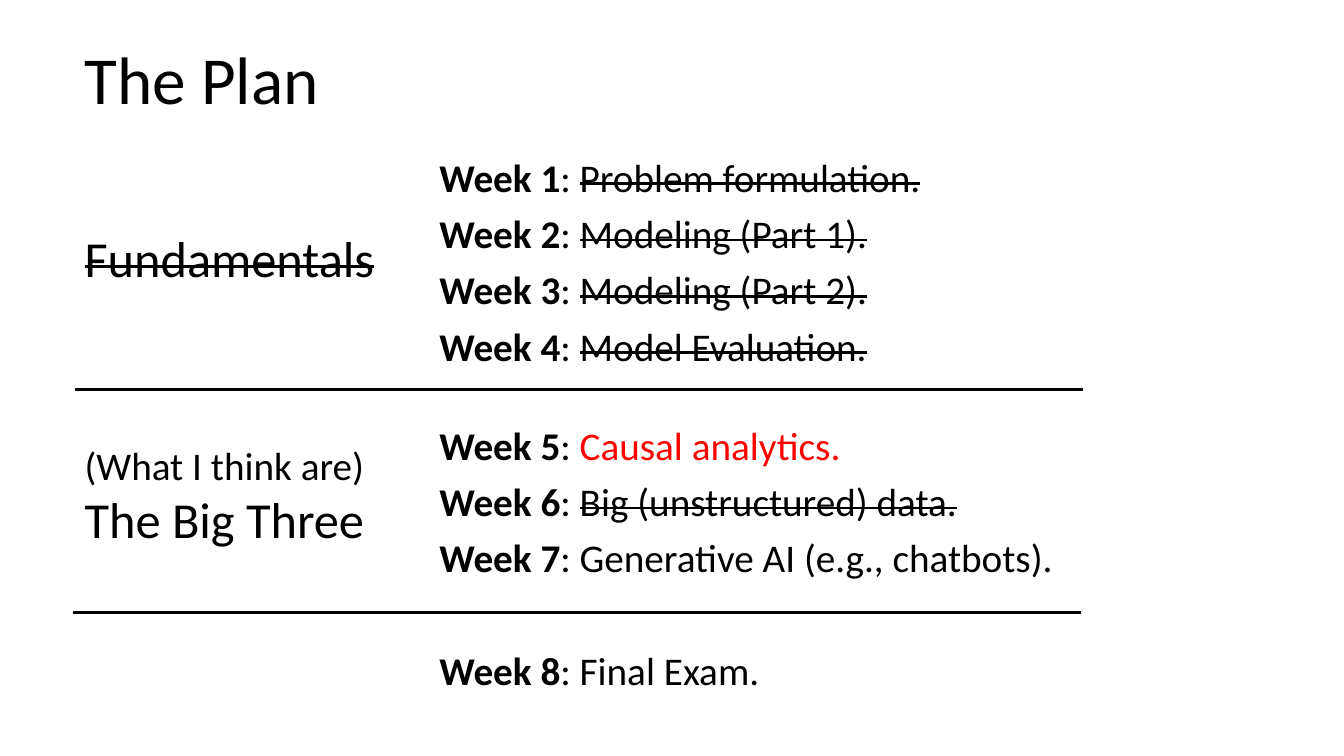
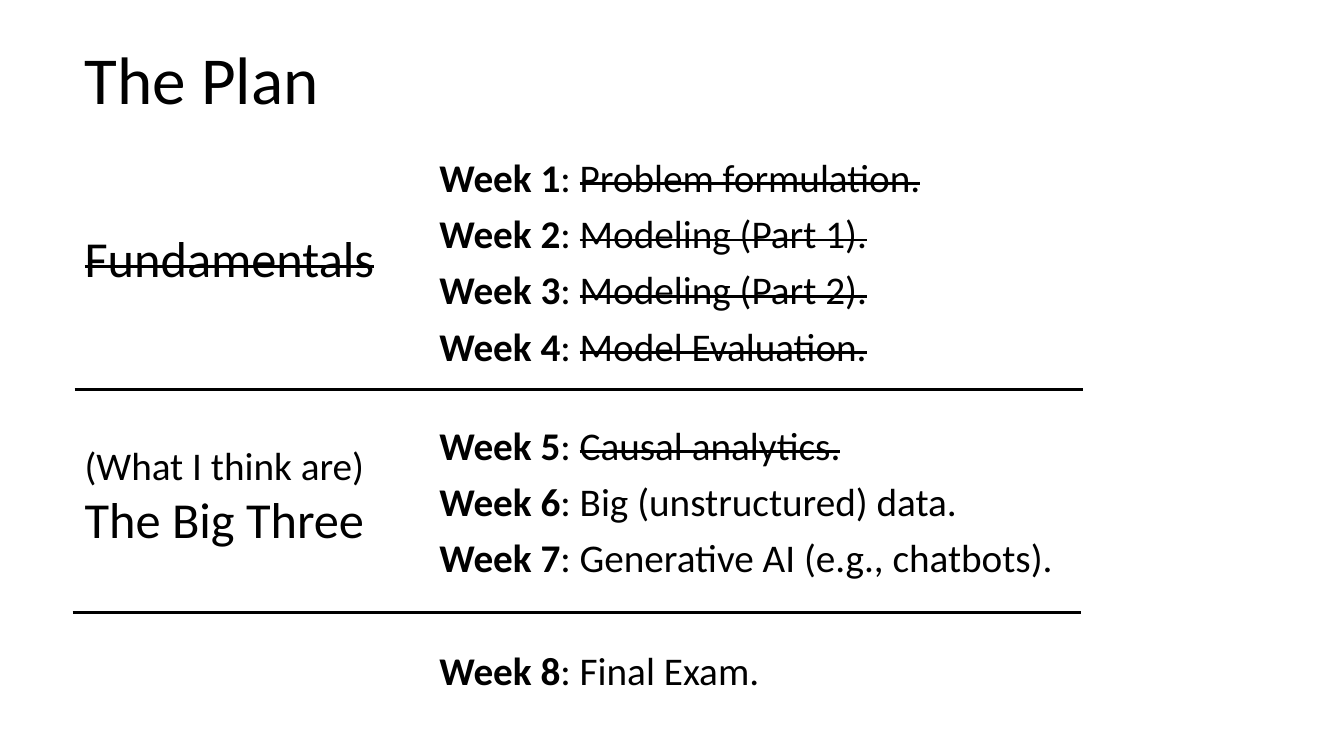
import pptx
import pptx.util
import pptx.dml.color
import pptx.enum.shapes
import pptx.enum.text
import lxml.etree

Inches, Pt = pptx.util.Inches, pptx.util.Pt
ENUM = pptx.enum.text
FONT, BLACK, RED = "Calibri", "000000", "FF0000"
BODY, HEAD = 28, 36
WEEKS = ["Problem formulation.", "Modeling (Part 1).", "Modeling (Part 2).",
         "Model Evaluation.", "Causal analytics.", "Big (unstructured) data.",
         "Generative AI (e.g., chatbots).", "Final Exam."]
GAPS = {5: 40.5, 8: 50.5}  # points before the week that opens a section


def color(code):
    return pptx.dml.color.RGBColor.from_string(code)


def write(para, text, size=BODY, bold=False, strike=False, tint=BLACK):
    run = para.add_run()
    run.text = text
    font = run.font
    font.name, font.size, font.bold = FONT, Pt(size), bold
    font.color.rgb = color(tint)
    if strike:
        run._r.get_or_add_rPr().set("strike", "sngStrike")


def frame(slide, box, grow=False):
    """Add a wrapping text box and return its text frame."""
    text = slide.shapes.add_textbox(*map(Inches, box)).text_frame
    text.word_wrap = True
    if grow:
        text.auto_size = ENUM.MSO_AUTO_SIZE.SHAPE_TO_FIT_TEXT
    return text


def title(slide, box, words):
    shape = slide.shapes.title
    shape.left, shape.top, shape.width, shape.height = map(Inches, box)
    text = shape.text_frame
    text.auto_size = ENUM.MSO_AUTO_SIZE.NONE
    text.vertical_anchor = ENUM.MSO_ANCHOR.MIDDLE
    para = text.paragraphs[0]
    para.alignment = ENUM.PP_ALIGN.LEFT
    para.line_spacing = 0.9
    write(para, words, size=48)


def label(slide, box, lines):
    """Name a section; each line is its text and its format."""
    text = frame(slide, box, grow=True)
    for i, (words, style) in enumerate(lines):
        para = text.add_paragraph() if i else text.paragraphs[0]
        write(para, words, **style)


def agenda(slide, box, done, now):
    """List the weeks, striking those done and colouring the current one."""
    text = frame(slide, box)
    for week, topic in enumerate(WEEKS, 1):
        para = text.paragraphs[0] if week == 1 else text.add_paragraph()
        para.line_spacing = 0.9
        para.space_before = Pt(GAPS.get(week, 10))
        write(para, f"Week {week}", bold=True)
        write(para, ": ")
        write(para, topic, strike=week in done,
              tint=RED if week == now else BLACK)


def rule(slide, left, top, width):
    line = slide.shapes.add_connector(
        pptx.enum.shapes.MSO_CONNECTOR.STRAIGHT,
        Inches(left), Inches(top), Inches(left + width), Inches(top))
    line.line.color.rgb = color(BLACK)
    line.line.width = Pt(2.25)
    props = line._element.spPr
    lxml.etree.SubElement(props, pptx.oxml.ns.qn("a:effectLst"))


def plan(deck, done, now=None):
    slide = deck.slides.add_slide(deck.slide_layouts[5])
    title(slide, (0.74, 0.37, 8.8, 0.91), "The Plan")
    agenda(slide, (4.26, 1.52, 6.82, 5.73), done, now)
    label(slide, (0.74, 2.2, 3.76, 0.71),
          [("Fundamentals", {"size": HEAD, "strike": True})])
    rule(slide, 0.74, 3.86, 10)
    rule(slide, 0.72, 6.08, 10)
    label(slide, (0.74, 4.33, 4.38, 1.18),
          [("(What I think are)", {}), ("The Big Three", {"size": HEAD})])


def main():
    deck = pptx.Presentation()
    deck.slide_width, deck.slide_height = Inches(13.33), Inches(7.5)
    plan(deck, done={1, 2, 3, 4, 6}, now=5)
    plan(deck, done={1, 2, 3, 4, 5})
    deck.save("out.pptx")


if __name__ == "__main__":
    main()
